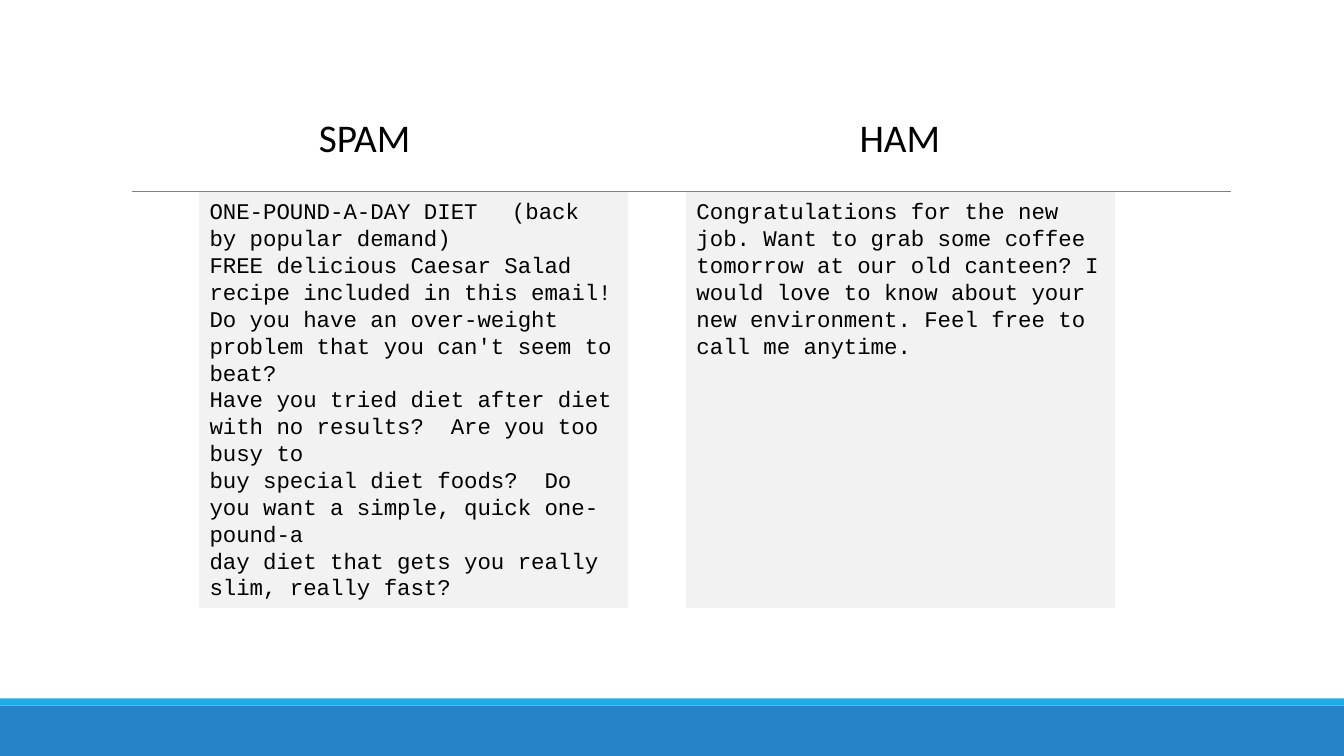
import dataclasses

import pptx
import pptx.dml.color
import pptx.enum.shapes
import pptx.enum.text
import pptx.oxml
import pptx.oxml.ns
import pptx.slide
import pptx.text.text
import pptx.util

Inches = pptx.util.Inches
Pt = pptx.util.Pt
Align = pptx.enum.text.PP_ALIGN

SLIDE_WIDTH = 13.33
MESSAGE_TOP, MESSAGE_WIDTH, MESSAGE_HEIGHT = 1.91, 4.24, 4.12
HEADING_TOP, HEADING_WIDTH, HEADING_HEIGHT = 1.08, 2.69, 0.57
HEADING_FONT = {"name": "Calibri", "size": Pt(28)}
MESSAGE_FONT = {"name": "Courier New", "size": Pt(16)}


@dataclasses.dataclass
class Band:
    top: float
    height: float
    fill: str


@dataclasses.dataclass
class Example:
    heading: str
    heading_left: float
    message_left: float
    lines: list[str]


BANDS = [Band(7, 0.5, "2683C6"), Band(6.93, 0.07, "1CADE4")]
EXAMPLES = [
    Example("SPAM", 2.27, 1.98, [
        "ONE-POUND-A-DAY DIET\t(back by popular demand)",
        "FREE delicious Caesar Salad recipe included in this email!",
        "Do you have an over-weight problem that you can't seem to beat?",
        "Have you tried diet after diet with no results?  Are you too busy to",
        "buy special diet foods?  Do you want a simple, quick one-pound-a",
        "day diet that gets you really slim, really fast?",
    ]),
    Example("HAM", 7.58, 6.81, [
        "Congratulations for the new job. Want to grab some coffee tomorrow "
        "at our old canteen? I would love to know about your new environment. "
        "Feel free to call me anytime.",
    ]),
]


def color(code: str) -> pptx.dml.color.RGBColor:
    return pptx.dml.color.RGBColor.from_string(code)


def add_rectangle(page: pptx.slide.Slide, left: float, top: float,
                  width: float, height: float, fill: str):
    box = page.shapes.add_shape(
        pptx.enum.shapes.MSO_SHAPE.RECTANGLE,
        Inches(left), Inches(top), Inches(width), Inches(height))
    box.shadow.inherit = False
    box.fill.solid()
    box.fill.fore_color.rgb = color(fill)
    box.line.fill.background()
    return box


def write(frame: pptx.text.text.TextFrame, lines: list[str],
          font: dict, alignment: Align) -> None:
    frame.word_wrap = True
    frame.vertical_anchor = pptx.enum.text.MSO_ANCHOR.TOP
    for index, line in enumerate(lines):
        para = frame.add_paragraph() if index else frame.paragraphs[0]
        para.alignment = alignment
        span = para.add_run()
        span.text = line
        span.font.color.rgb = color("000000")
        for name, value in font.items():
            setattr(span.font, name, value)


def add_rule(page: pptx.slide.Slide, left: float, right: float, top: float) -> None:
    rule = page.shapes.add_connector(
        pptx.enum.shapes.MSO_CONNECTOR.STRAIGHT,
        Inches(left), Inches(top), Inches(right), Inches(top))
    rule.line.color.rgb = color("808080")
    rule.line.width = Pt(0.5)
    properties = rule.element.find(pptx.oxml.ns.qn("p:spPr"))
    properties.append(pptx.oxml.parse_xml(
        f"<a:effectLst {pptx.oxml.ns.nsdecls('a')}/>"))


def add_message(page: pptx.slide.Slide, example: Example) -> None:
    box = add_rectangle(page, example.message_left, MESSAGE_TOP,
                        MESSAGE_WIDTH, MESSAGE_HEIGHT, "F2F2F2")
    box.line.color.rgb = color("F2F2F2")
    box.line.width = Pt(0.75)
    write(box.text_frame, example.lines, MESSAGE_FONT, Align.LEFT)


def add_heading(page: pptx.slide.Slide, example: Example) -> None:
    box = page.shapes.add_textbox(
        Inches(example.heading_left), Inches(HEADING_TOP),
        Inches(HEADING_WIDTH), Inches(HEADING_HEIGHT))
    write(box.text_frame, [example.heading], HEADING_FONT, Align.CENTER)


deck = pptx.Presentation()
deck.slide_width = Inches(SLIDE_WIDTH)
deck.slide_height = Inches(7.5)
page = deck.slides.add_slide(deck.slide_layouts.get_by_name("Blank"))

for band in BANDS:
    add_rectangle(page, 0, band.top, SLIDE_WIDTH, band.height, band.fill)
add_rule(page, 1.31, 12.21, 1.9)
for example in EXAMPLES:
    add_message(page, example)
    add_heading(page, example)

deck.save("out.pptx")
